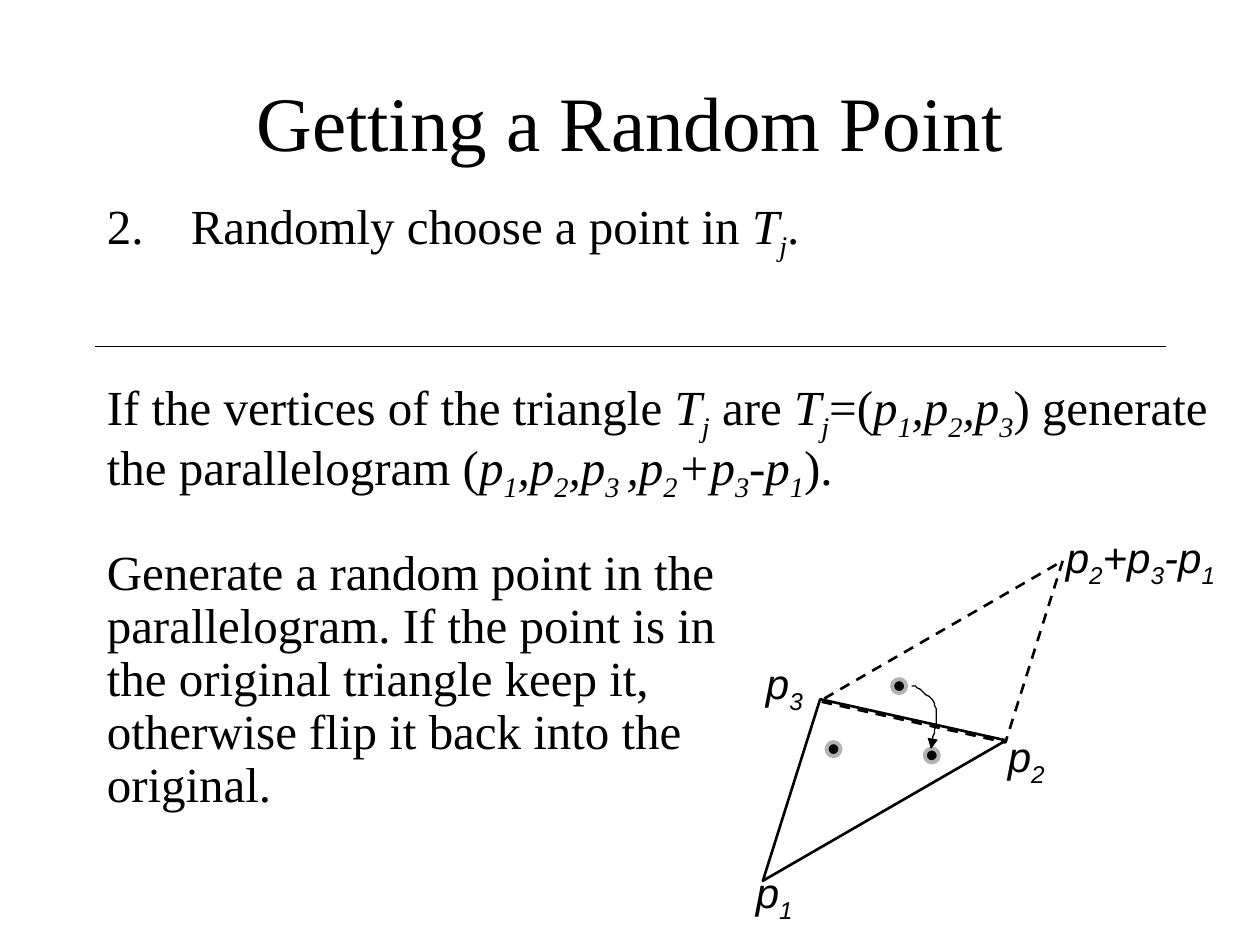
from dataclasses import dataclass

from lxml.etree import SubElement
from pptx import Presentation
from pptx.dml.color import RGBColor
from pptx.enum.dml import MSO_LINE
from pptx.enum.shapes import MSO_CONNECTOR, MSO_SHAPE
from pptx.enum.text import MSO_ANCHOR, PP_ALIGN
from pptx.oxml.ns import qn
from pptx.util import Pt


@dataclass(frozen=True)
class Theme:
    ink: RGBColor = RGBColor(0, 0, 0)
    halo: RGBColor = RGBColor(0xB2, 0xB2, 0xB2)
    serif: str = "Times New Roman"
    sans: str = "Arial"
    title: int = 44
    body: int = 28
    label: int = 24


THEME = Theme()
PLAIN, ITALIC, SUB = "plain", "italic", "subscript"

TITLE = [("Getting a Random Point", PLAIN)]
STEP_NUMBER = 2
STEP = [("Randomly choose a point in ", PLAIN), ("T", ITALIC), ("j", SUB), (".", PLAIN)]
P1_P2_P3 = [("p", ITALIC), ("1", SUB), (",p", ITALIC), ("2", SUB), (",p", ITALIC)]
P2_P3_P1 = [("2", SUB), ("+p", ITALIC), ("3", SUB), ("-p", ITALIC), ("1", SUB)]
VERTICES = [
    ("If the vertices of the triangle ", PLAIN), ("T", ITALIC), ("j", SUB),
    (" are ", PLAIN), ("T", ITALIC), ("j", SUB), ("=(", PLAIN),
    *P1_P2_P3, ("3", SUB), (") generate the parallelogram (", PLAIN),
    *P1_P2_P3, ("3 ", SUB), (",p", ITALIC), *P2_P3_P1, (").", PLAIN),
]
FLIP_LINES = [
    "Generate a random point in the",
    "parallelogram. If the point is in",
    "the original triangle keep it,",
    "otherwise flip it back into the",
    "original.",
]

LABELS = [
    ((424.8, 491.8, 48, 40), [("p", ITALIC), ("1", SUB)]),
    ((568.8, 414, 48, 40), [("p", ITALIC), ("2", SUB)]),
    ((430.6, 372.2, 48, 40), [("p", ITALIC), ("3", SUB)]),
    ((602, 300.2, 114, 40), [("p", ITALIC), *P2_P3_P1]),
]
TRIANGLE_SIZE = (160.5, 73.5)
TRIANGLES = [
    ((406.8, 394.6), 330, MSO_LINE.SOLID),
    ((475.9, 355.7), 150, MSO_LINE.DASH),
]
DOT_SIZE = 8
DOTS = [(472.3, 424.1), (509.8, 388.1), (528.5, 427.7)]
FLIP_CURVE = [
    ((521.3, 391.5), (527, 395), (532.8, 398.2), (535, 404.6)),
    ((535, 404.6), (536.4, 410.4), (532.8, 424), (532.1, 427.7)),
]
CURVE_STEPS = 12


def add_runs(paragraph, runs, font, size):
    for text, style in runs:
        run = paragraph.add_run()
        run.text = text
        run.font.name = font
        run.font.size = Pt(size)
        run.font.color.rgb = THEME.ink
        run.font.italic = style != PLAIN
        if style == SUB:
            run.font._element.set("baseline", "-25000")


def add_text(slide, box, runs, font, size):
    shape = slide.shapes.add_textbox(*map(Pt, box))
    shape.text_frame.word_wrap = True
    add_runs(shape.text_frame.paragraphs[0], runs, font, size)
    return shape.text_frame


def number_paragraph(paragraph, start, indent):
    properties = paragraph._p.get_or_add_pPr()
    properties.set("marL", str(Pt(indent)))
    properties.set("indent", str(-Pt(indent)))
    SubElement(properties, qn("a:buFont"), typeface=THEME.serif)
    SubElement(properties, qn("a:buAutoNum"), type="arabicPeriod", startAt=str(start))


def outline(shape, color, width):
    shape.shadow.inherit = False
    shape.line.color.rgb = color
    shape.line.width = Pt(width)


def bezier_point(points, t):
    weights = ((1 - t) ** 3, 3 * t * (1 - t) ** 2, 3 * t**2 * (1 - t), t**3)
    return tuple(sum(w * p[axis] for w, p in zip(weights, points)) for axis in (0, 1))


def add_flip_arrow(slide):
    route = [
        bezier_point(piece, step / CURVE_STEPS)
        for piece in FLIP_CURVE
        for step in range(1, CURVE_STEPS + 1)
    ]
    builder = slide.shapes.build_freeform(*FLIP_CURVE[0][0], scale=Pt(1))
    builder.add_line_segments(route, close=False)
    arrow = builder.convert_to_shape()
    arrow.fill.background()
    outline(arrow, THEME.ink, 0.75)
    SubElement(arrow.line._get_or_add_ln(), qn("a:tailEnd"), type="triangle")


def add_diagram(slide):
    for corner, rotation, dash in TRIANGLES:
        triangle = slide.shapes.add_shape(
            MSO_SHAPE.ISOSCELES_TRIANGLE, *map(Pt, corner + TRIANGLE_SIZE))
        triangle.rotation = rotation
        triangle.fill.background()
        outline(triangle, THEME.ink, 1.5)
        triangle.line.dash_style = dash
    for box, runs in LABELS:
        add_text(slide, box, runs, THEME.sans, THEME.label)
    for corner in DOTS:
        dot = slide.shapes.add_shape(
            MSO_SHAPE.OVAL, *map(Pt, corner + (DOT_SIZE, DOT_SIZE)))
        dot.fill.solid()
        dot.fill.fore_color.rgb = THEME.ink
        outline(dot, THEME.halo, 2.25)
    add_flip_arrow(slide)


def main():
    presentation = Presentation()
    presentation.slide_width, presentation.slide_height = Pt(720), Pt(540)
    slide = presentation.slides.add_slide(presentation.slide_layouts[6])

    title = add_text(slide, (54, 24, 612, 90), TITLE, THEME.serif, THEME.title)
    title.vertical_anchor = MSO_ANCHOR.MIDDLE
    title.paragraphs[0].alignment = PP_ALIGN.CENTER

    step = add_text(slide, (54, 108, 612, 372), STEP, THEME.serif, THEME.body)
    number_paragraph(step.paragraphs[0], STEP_NUMBER, 48)

    rule = slide.shapes.add_connector(
        MSO_CONNECTOR.STRAIGHT, Pt(54), Pt(198), Pt(666), Pt(198))
    rule.line.color.rgb = THEME.ink
    rule.line.width = Pt(0.75)
    SubElement(rule._element.spPr, qn("a:effectLst"))

    add_diagram(slide)

    method = add_text(slide, (54, 212, 648, 288), VERTICES, THEME.serif, THEME.body)
    flip = method.add_paragraph()
    flip.space_before = Pt(29)
    for index, line in enumerate(FLIP_LINES):
        if index:
            flip.add_line_break()
        add_runs(flip, [(line, PLAIN)], THEME.serif, THEME.body)
    for paragraph in method.paragraphs:
        paragraph.line_spacing = 0.9

    presentation.save("out.pptx")


if __name__ == "__main__":
    main()
